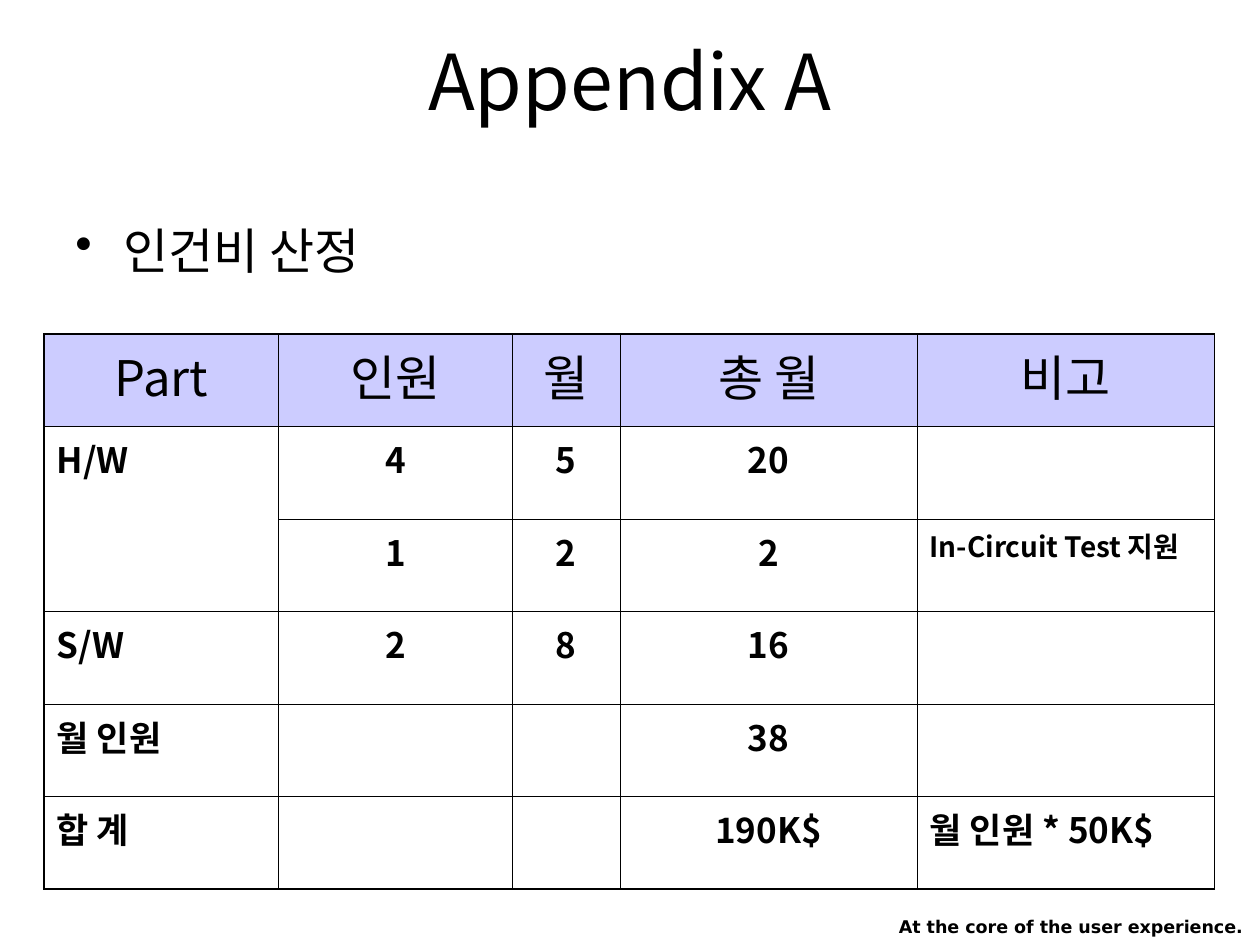
from dataclasses import dataclass

from lxml import etree
from pptx import Presentation
from pptx.dml.color import RGBColor
from pptx.enum import text
from pptx.oxml.ns import qn
from pptx.util import Inches, Pt

TITLE = "Appendix A"
TOPIC = "인건비 산정"
SLOGAN = "At the core of the user experience."
COSTS = [
    ("Part", "인원", "월", "총 월", "비고"),
    ("H/W", "4", "5", "20", ""),
    ("", "1", "2", "2", "In-Circuit Test 지원"),
    ("S/W", "2", "8", "16", ""),
    ("월 인원", "", "", "38", ""),
    ("합 계", "", "", "190K$", "월 인원 * 50K$"),
]
COLUMN_WIDTHS = (1.86, 1.86, 0.85, 2.36, 2.36)
TABLE_LEFT, TABLE_TOP, TABLE_HEIGHT = 0.35, 2.65, 4.41
LEFT, CENTER, RIGHT = text.PP_ALIGN.LEFT, text.PP_ALIGN.CENTER, text.PP_ALIGN.RIGHT


@dataclass(frozen=True)
class Theme:
    ink: str = "000000"
    header: str = "CCCCFF"
    font: str = "Noto Sans CJK KR"
    slogan_font: str = "DejaVu Sans"
    title: int = 44
    heading: int = 28
    entry: int = 20
    note: int = 16
    slogan: int = 10
    inner_line: float = 0.45
    outer_line: float = 1.08


THEME = Theme()


def style(paragraph, size, align, bold=False, font=THEME.font):
    paragraph.alignment = align
    paragraph.font.size = Pt(size)
    paragraph.font.bold = bold
    paragraph.font.name = font
    paragraph.font.color.rgb = RGBColor.from_string(THEME.ink)
    for run in paragraph.runs:
        east_asian = etree.SubElement(run._r.get_or_add_rPr(), qn("a:ea"))
        east_asian.set("typeface", font)


def add_text(slide, words, place, size, align, spacing=1.0, **look):
    frame = slide.shapes.add_textbox(*map(Inches, place)).text_frame
    frame.word_wrap = True
    line = frame.paragraphs[0]
    line.text = words
    line.line_spacing = spacing
    style(line, size, align, **look)
    return line


def add_bullet(paragraph):
    props = paragraph._p.get_or_add_pPr()
    props.set("marL", str(Inches(0.38)))
    props.set("indent", str(-Inches(0.38)))
    bullet = etree.Element(qn("a:buChar"), char="•")
    props.find(qn("a:defRPr")).addprevious(bullet)


def add_borders(cell, widths):
    props = cell._tc.get_or_add_tcPr()
    for index, (side, width) in enumerate(widths.items()):
        border = etree.Element(qn(f"a:{side}"), w=str(Pt(width)))
        fill = etree.SubElement(border, qn("a:solidFill"))
        etree.SubElement(fill, qn("a:srgbClr"), val=THEME.ink)
        props.insert(index, border)


def add_costs(slide):
    last_row, last_column = len(COSTS) - 1, len(COLUMN_WIDTHS) - 1
    place = (TABLE_LEFT, TABLE_TOP, sum(COLUMN_WIDTHS), TABLE_HEIGHT)
    table = slide.shapes.add_table(
        len(COSTS), len(COLUMN_WIDTHS), *map(Inches, place)).table
    for column, width in zip(table.columns, COLUMN_WIDTHS):
        column.width = Inches(width)
    for r, entries in enumerate(COSTS):
        for c, entry in enumerate(entries):
            cell = table.cell(r, c)
            if r == 0:
                cell.fill.solid()
                cell.fill.fore_color.rgb = RGBColor.from_string(THEME.header)
            else:
                cell.fill.background()
            outer = {"lnL": c == 0, "lnR": c == last_column,
                     "lnT": r == 0, "lnB": r == last_row}
            add_borders(cell, {side: THEME.outer_line if edge else THEME.inner_line
                               for side, edge in outer.items()})
            line = cell.text_frame.paragraphs[0]
            line.text = entry
            is_note = "Test" in entry
            size = THEME.heading if r == 0 else THEME.note if is_note else THEME.entry
            align = LEFT if r and c in (0, last_column) else CENTER
            style(line, size, align, bold=r > 0)
    table.cell(1, 0).merge(table.cell(2, 0))


def main():
    """Build the labour cost appendix slide."""
    deck = Presentation()
    deck.slide_width, deck.slide_height = Inches(10), Inches(7.5)
    slide = deck.slides.add_slide(deck.slide_layouts[6])
    add_text(slide, SLOGAN, (5.24, 7.22, 4.72, 0.27), THEME.slogan, RIGHT,
             bold=True, font=THEME.slogan_font)
    add_text(slide, TITLE, (0.5, 0.3, 9, 1.25), THEME.title, CENTER, spacing=0.9)
    topic = add_text(slide, TOPIC, (0.5, 1.75, 4.42, 4.95), THEME.heading, LEFT,
                     spacing=0.9)
    add_bullet(topic)
    add_costs(slide)
    deck.save("out.pptx")


if __name__ == "__main__":
    main()
